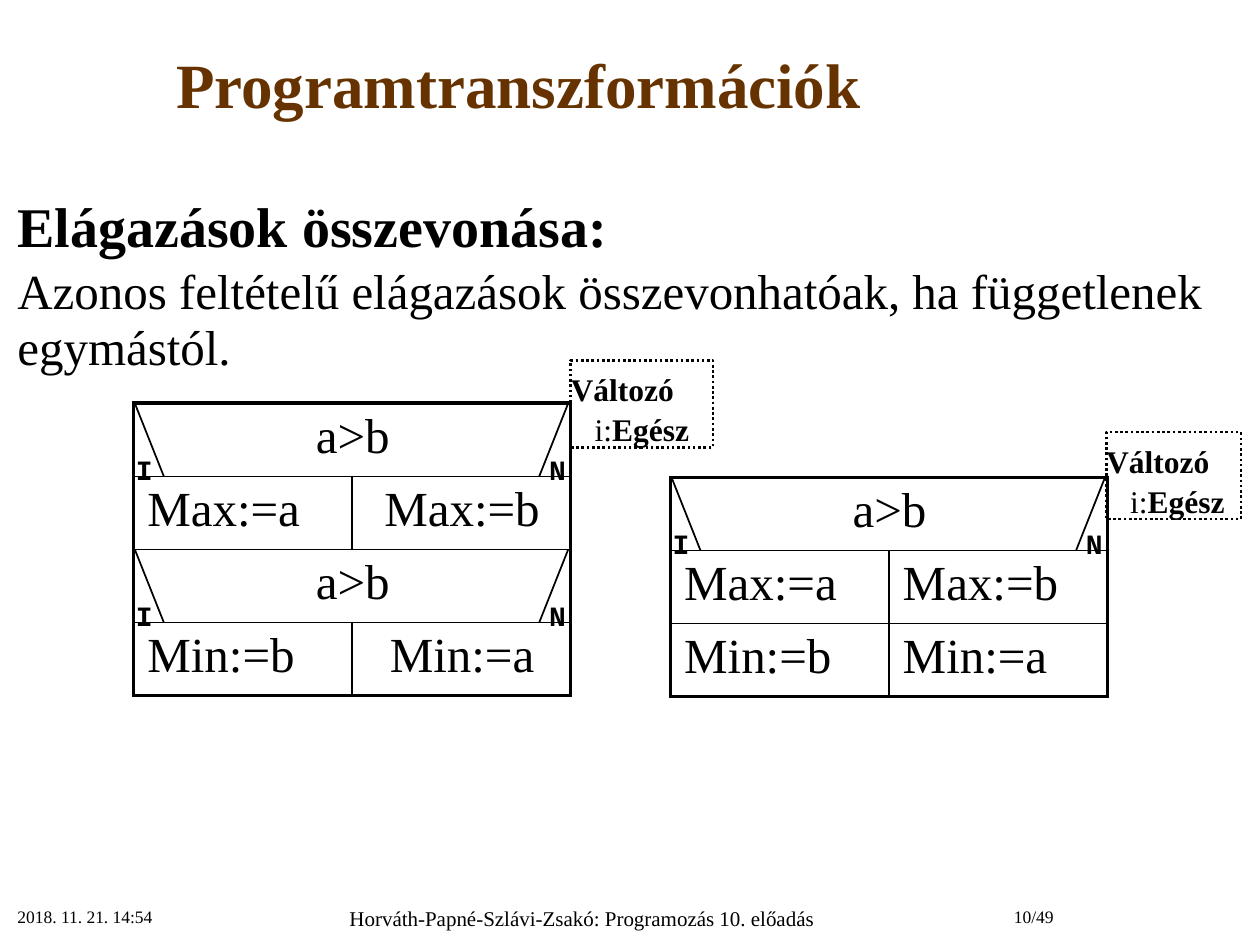
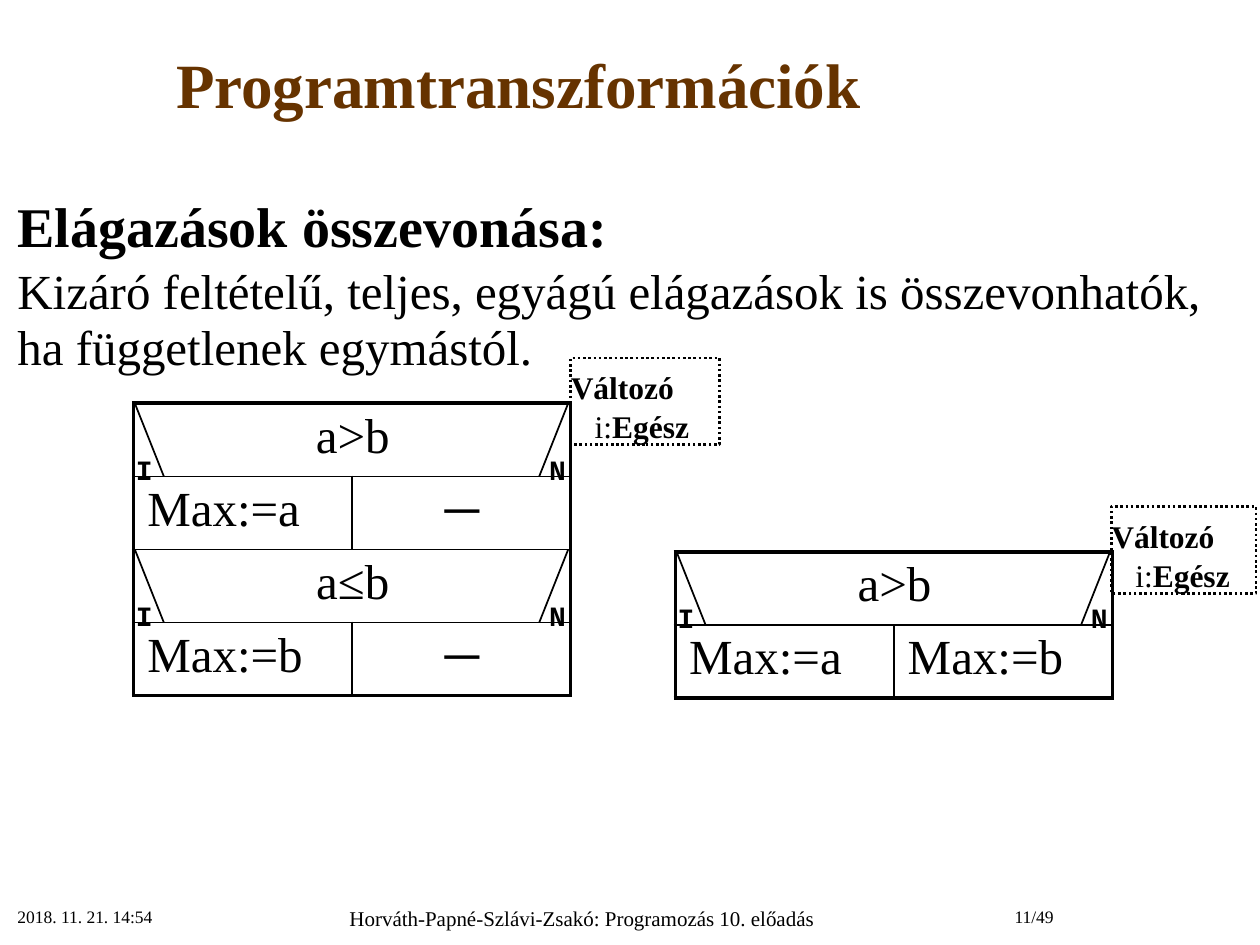
"""Builds two slides on merging branches in structograms."""
from lxml import etree
from pptx import Presentation
from pptx import util as u
from pptx.dml.color import RGBColor
from pptx.enum import dml, shapes, text
from pptx.oxml import ns

COLORS = {"title": "663300", "ink": "000000", "paper": "FFFFFF"}
SERIF, MONO = "Times New Roman", "Courier New"
THICK, THIN = 2.25, 1
TABLE_W, ROW_H, SLANT_W = 3.47, 0.58, 0.23
LEFT, CENTER, RIGHT = text.PP_ALIGN.LEFT, text.PP_ALIGN.CENTER, text.PP_ALIGN.RIGHT


def set_all(obj, values):
    for name, value in values.items():
        setattr(obj, name, value)


class Deck:
    def __init__(self):
        self.prs = Presentation()
        self.prs.slide_width, self.prs.slide_height = u.Inches(10), u.Inches(7.5)
        self.s = None

    def box(self, *lengths):
        return [u.Inches(v) for v in lengths]

    def run(self, p, words, size, bold=False, face=SERIF, color="ink"):
        r = p.add_run()
        r.text = words
        set_all(r.font, {"name": face, "size": u.Pt(size), "bold": bold})
        r.font.color.rgb = RGBColor.from_string(COLORS[color])

    def slide(self, title, page):
        self.s = self.prs.slides.add_slide(self.prs.slide_layouts[5])
        self.s.background.fill.solid()
        self.s.background.fill.fore_color.rgb = RGBColor.from_string(COLORS["paper"])
        sp = self.s.shapes.title
        set_all(sp, dict(zip(("left", "top", "width", "height"), self.box(0, 0.09, 8.23, 1.22))))
        sp.text_frame.vertical_anchor = text.MSO_ANCHOR.MIDDLE
        p = sp.text_frame.paragraphs[0]
        set_all(p, {"alignment": CENTER, "line_spacing": 0.9})
        self.run(p, title, 36, True, color="title")
        self.label("2018. 11. 21. 14:54", (0.04, 7.14, 2.08, 0.39), 10)
        self.label("Horváth-Papné-Szlávi-Zsakó: Programozás 10. előadás",
                   (2.12, 7.14, 5, 0.36), 12, align=CENTER)
        self.label(f"{page}/49", (7.19, 7.14, 1.27, 0.39), 10, align=RIGHT)

    def label(self, words, at, size, bold=False, face=SERIF, align=LEFT, top=0.05):
        tf = self.s.shapes.add_textbox(*self.box(*at)).text_frame
        set_all(tf, {"word_wrap": True, "margin_top": u.Inches(top)})
        p = tf.paragraphs[0]
        p.alignment = align
        self.run(p, words, size, bold, face)
        return tf

    def body(self, heading, sentence):
        tf = self.label(heading, (0.04, 1.47, 9.77, 5.2), 32, True, top=0.09)
        p = tf.add_paragraph()
        p.space_before = u.Pt(2.8)
        self.run(p, sentence, 28)
        for p in tf.paragraphs:
            p.line_spacing = 0.95

    def line(self, x1, y1, x2, y2):
        cn = self.s.shapes.add_connector(shapes.MSO_CONNECTOR.STRAIGHT, *self.box(x1, y1, x2, y2))
        cn.line.width = u.Pt(THIN)
        cn.line.color.rgb = RGBColor.from_string(COLORS["ink"])
        etree.SubElement(cn._element.spPr, ns.qn("a:effectLst"))

    def borders(self, cell, widths):
        tc_pr = cell._tc.get_or_add_tcPr()
        for side, width in zip("LRTB", widths):
            ln = etree.SubElement(tc_pr, ns.qn(f"a:ln{side}"), w=str(u.Pt(width)))
            fill = etree.SubElement(ln, ns.qn("a:solidFill"))
            etree.SubElement(fill, ns.qn("a:srgbClr"), val=COLORS["ink"])
        cell.fill.background()

    def branch(self, x, y, condition, rows, top=THICK, bottom=THICK, align=LEFT):
        grid = [(condition, "")] + rows
        last = len(grid) - 1
        table = self.s.shapes.add_table(
            len(grid), 2, *self.box(x, y, TABLE_W, ROW_H * len(grid))).table
        set_all(table, {"first_row": False, "horz_banding": False})
        for i, words in enumerate(grid):
            table.rows[i].height = u.Inches(ROW_H)
            for j, word in enumerate(words):
                cell = table.cell(i, j)
                cell.margin_left = u.Inches(0.11)
                self.borders(cell, (THIN if j else THICK,
                                    THICK if j or i == 0 else THIN,
                                    top if i == 0 else THIN,
                                    bottom if i == last else THIN))
                if word:
                    p = cell.text_frame.paragraphs[0]
                    p.alignment = CENTER if i == 0 else align if j else LEFT
                    self.run(p, word, 28)
        table.cell(0, 0).merge(table.cell(0, 1))
        for start, step in ((x + 0.01, SLANT_W), (x + TABLE_W - 0.02, -SLANT_W)):
            self.line(start, y, start + step, y + ROW_H)
        for letter, shift in (("I", -0.08), ("N", 3.2)):
            self.label(letter, (x + shift, y + 0.31, 0.32, 0.37), 16, True, MONO, top=0.08)

    def stack(self, x, y, upper, lower):
        self.branch(x, y, *upper, bottom=THIN, align=CENTER)
        self.branch(x, y + 2 * ROW_H, *lower, top=THIN, align=CENTER)

    def variable(self, x, y, width):
        sp = self.s.shapes.add_shape(shapes.MSO_SHAPE.RECTANGLE, *self.box(x, y, width, 0.69))
        sp.shadow.inherit = False
        sp.fill.background()
        set_all(sp.line, {"width": u.Pt(1.5), "dash_style": dml.MSO_LINE.ROUND_DOT})
        sp.line.color.rgb = RGBColor.from_string(COLORS["ink"])
        tf = sp.text_frame
        set_all(tf, {"word_wrap": True, "vertical_anchor": text.MSO_ANCHOR.TOP,
                     "margin_left": 0, "margin_right": 0,
                     "margin_top": u.Inches(0.08), "margin_bottom": 0})
        p = tf.paragraphs[0]
        p.alignment = LEFT
        self.run(p, "Változó", 18, True)
        p = tf.add_paragraph()
        set_all(p, {"alignment": LEFT, "space_before": u.Pt(1)})
        p._p.get_or_add_pPr().set("marL", str(u.Inches(0.19)))
        self.run(p, "i:", 18)
        self.run(p, "Egész", 18, True)


def main():
    deck = Deck()
    title, heading = "Programtranszformációk", "Elágazások összevonása:"
    maxima, minima = ("Max:=a", "Max:=b"), ("Min:=b", "Min:=a")

    deck.slide(title, 10)
    deck.body(heading, "Azonos feltételű elágazások összevonhatóak, ha függetlenek egymástól.")
    deck.stack(1.06, 3.2, ("a>b", [maxima]), ("a>b", [minima]))
    deck.branch(5.32, 3.79, "a>b", [maxima, minima])
    deck.variable(8.78, 3.43, 1.07)
    deck.variable(4.53, 2.86, 1.13)

    deck.slide(title, 11)
    deck.body(heading, "Kizáró feltételű, teljes, egyágú elágazások is összevonhatók, "
                       "ha függetlenek egymástól.")
    deck.stack(1.06, 3.2, ("a>b", [("Max:=a", "─")]), ("a≤b", [("Max:=b", "─")]))
    deck.branch(5.36, 4.38, "a>b", [maxima])
    deck.variable(4.53, 2.84, 1.18)
    deck.variable(8.82, 4.02, 1.15)

    deck.prs.save("out.pptx")


if __name__ == "__main__":
    main()
